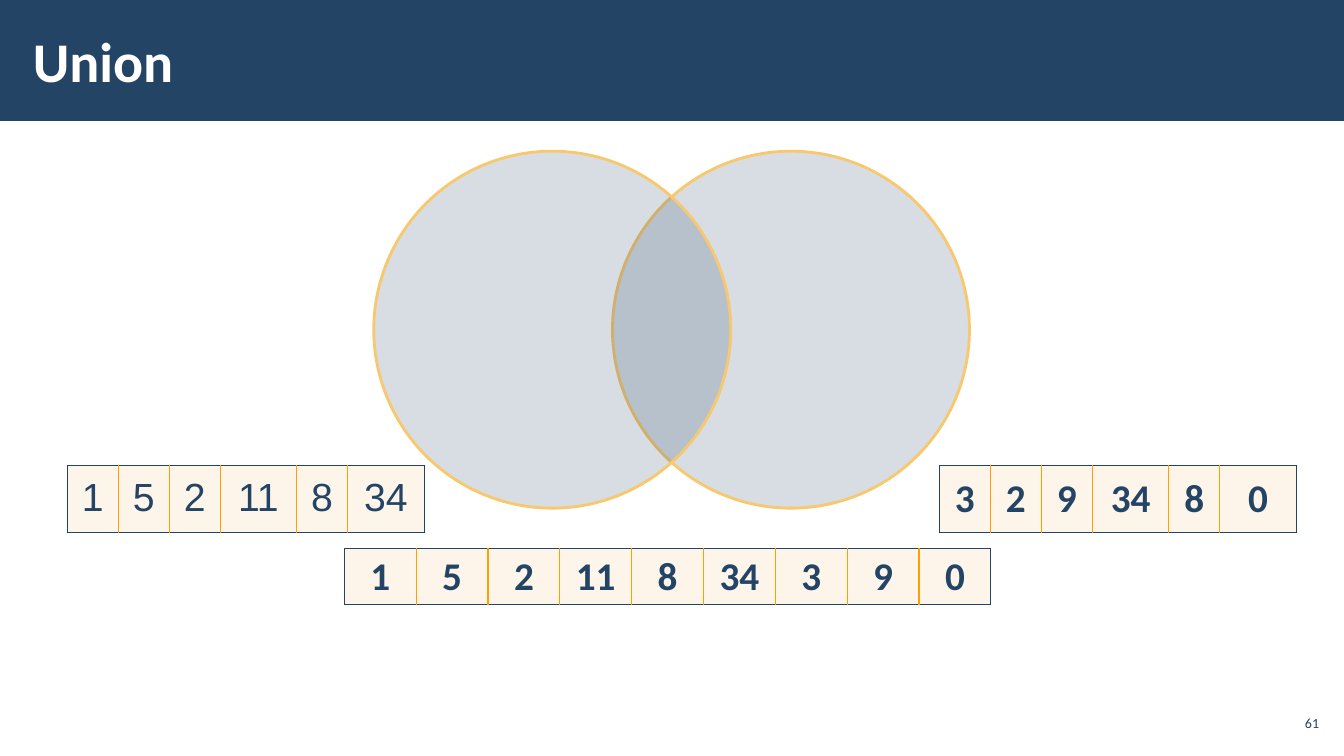
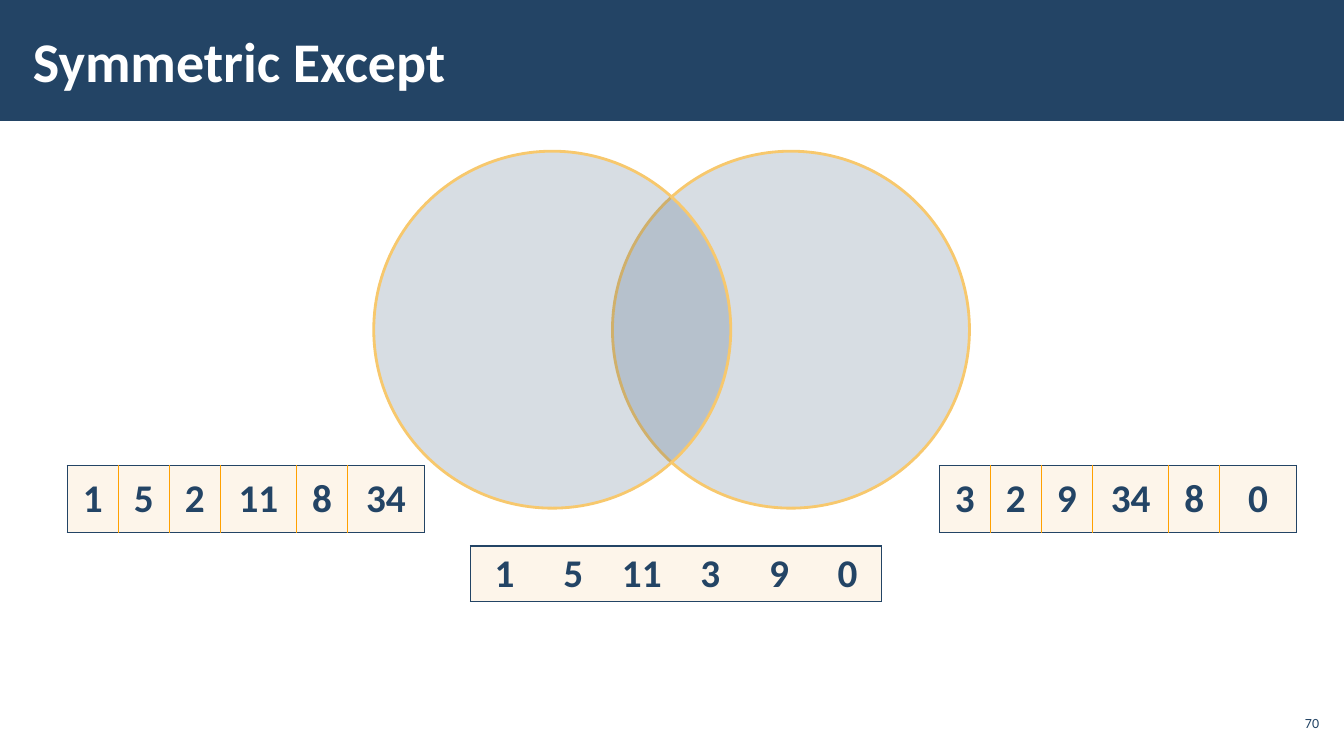
from lxml.etree import SubElement as Sub
from pptx import Presentation
from pptx.dml.color import RGBColor as RGB
from pptx.enum.shapes import MSO_SHAPE as Kind
from pptx.enum.text import MSO_ANCHOR as Anchor, PP_ALIGN as Align
from pptx.oxml.ns import qn
from pptx.util import Pt

HUES = {"navy": "234465", "white": "FFFFFF", "cream": "FDF5EA",
        "gold": "F7C86D", "amber": "FFA000"}
WIDE, HIGH = 960, 540
SIZE = 255
COLS = (1, 1, 1, 1.5, 1, 1.5)
LEFT = (1, 5, 2, 11, 8, 34)
RIGHT = (3, 2, 9, 34, 8, 0)
PLAIN = "{2D5ABB26-0587-4C30-8999-92F81FD0307C}"


class Deck:
    def __init__(self):
        self.prs = Presentation()
        self.prs.slide_width, self.prs.slide_height = Pt(WIDE), Pt(HIGH)
        self.page = None

    def hue(self, name):
        return RGB.from_string(HUES[name])

    def label(self, frame, text, size, hue="navy", align=Align.LEFT,
              bold=False, font="Calibri"):
        para = frame.paragraphs[0]
        para.alignment = align
        run = para.add_run()
        run.text = str(text)
        run.font.size, run.font.name, run.font.bold = Pt(size), font, bold
        run.font.color.rgb = self.hue(hue)
        return para

    def inset(self, item, side, end):
        item.margin_left = item.margin_right = Pt(side)
        item.margin_top = item.margin_bottom = Pt(end)
        item.vertical_anchor = Anchor.MIDDLE

    def shape(self, kind, x, y, w, h, fill):
        item = self.page.shapes.add_shape(kind, Pt(x), Pt(y), Pt(w), Pt(h))
        item.shadow.inherit = False
        item.fill.solid()
        item.fill.fore_color.rgb = self.hue(fill)
        item.line.fill.background()
        return item

    def start(self, title, num):
        self.page = self.prs.slides.add_slide(self.prs.slide_layouts[5])
        band = self.shape(Kind.RECTANGLE, 0, 0, WIDE, 86.4, "navy")
        self.page.shapes.title._element.addprevious(band._element)
        self.title(title)
        self.number(num)

    def title(self, text):
        head = self.page.shapes.title
        head.left, head.top = Pt(15), Pt(8)
        head.width, head.height = Pt(749), Pt(70)
        self.inset(head.text_frame, 8.5, 2.8)
        self.label(head.text_frame, text, 40, "white", bold=True)

    def number(self, num):
        box = self.page.shapes.add_textbox(Pt(911), Pt(504), Pt(34), Pt(24.5))
        box.text_frame.word_wrap = True
        self.inset(box.text_frame, 2.8, 2.8)
        self.label(box.text_frame, num, 10, align=Align.RIGHT)

    def ring(self, x):
        item = self.shape(Kind.OVAL, x, 108, SIZE, SIZE, "navy")
        tint = item._element.spPr.find(qn("a:solidFill"))[0]
        Sub(tint, qn("a:alpha"), val="18000")
        item.line.color.rgb = self.hue("gold")
        item.line.width = Pt(2)

    def edge(self, cell, side, hue):
        line = Sub(cell._tc.get_or_add_tcPr(), qn("a:ln" + side),
                   w=str(Pt(1)))
        if hue:
            fill = Sub(line, qn("a:solidFill"))
            Sub(fill, qn("a:srgbClr"), val=HUES[hue])
        else:
            Sub(line, qn("a:noFill"))

    def table(self, vals, x, y, w, h, cols=None, rule="amber",
              font="Calibri", bold=True):
        cols = cols or (1,) * len(vals)
        grid = self.page.shapes.add_table(
            1, len(vals), Pt(x), Pt(y), Pt(w), Pt(h)).table
        grid.first_row = grid.horz_banding = False
        grid._tbl.tblPr.find(qn("a:tableStyleId")).text = PLAIN
        last = len(vals) - 1
        for i, (val, part) in enumerate(zip(vals, cols)):
            grid.columns[i].width = Pt(w * part / sum(cols))
            cell = grid.cell(0, i)
            self.edge(cell, "L", rule if i else "navy")
            self.edge(cell, "R", rule if i < last else "navy")
            self.edge(cell, "T", "navy")
            self.edge(cell, "B", "navy")
            cell.fill.solid()
            cell.fill.fore_color.rgb = self.hue("cream")
            self.inset(cell, 9.4, 3.6)
            para = self.label(cell.text_frame, val, 28, align=Align.CENTER,
                              bold=bold, font=font)
            para.line_spacing = 0.95

    def venn(self, title, num, **style):
        self.start(title, num)
        for x in (437.5, 267):
            self.ring(x)
        self.table(LEFT, 48, 332.5, SIZE, 48, COLS, **style)
        self.table(RIGHT, 671, 332.5, SIZE, 48, COLS)


def main():
    deck = Deck()
    deck.venn("Union", 61, font="Arial", bold=False)
    deck.table((1, 5, 2, 11, 8, 34, 3, 9, 0), 246, 392, 462, 39.6)
    deck.venn("Symmetric Except", 70)
    deck.table((1, 5, 11, 3, 9, 0), 336, 390, 294, 39.6, rule=None)
    deck.prs.save("out.pptx")


if __name__ == "__main__":
    main()
